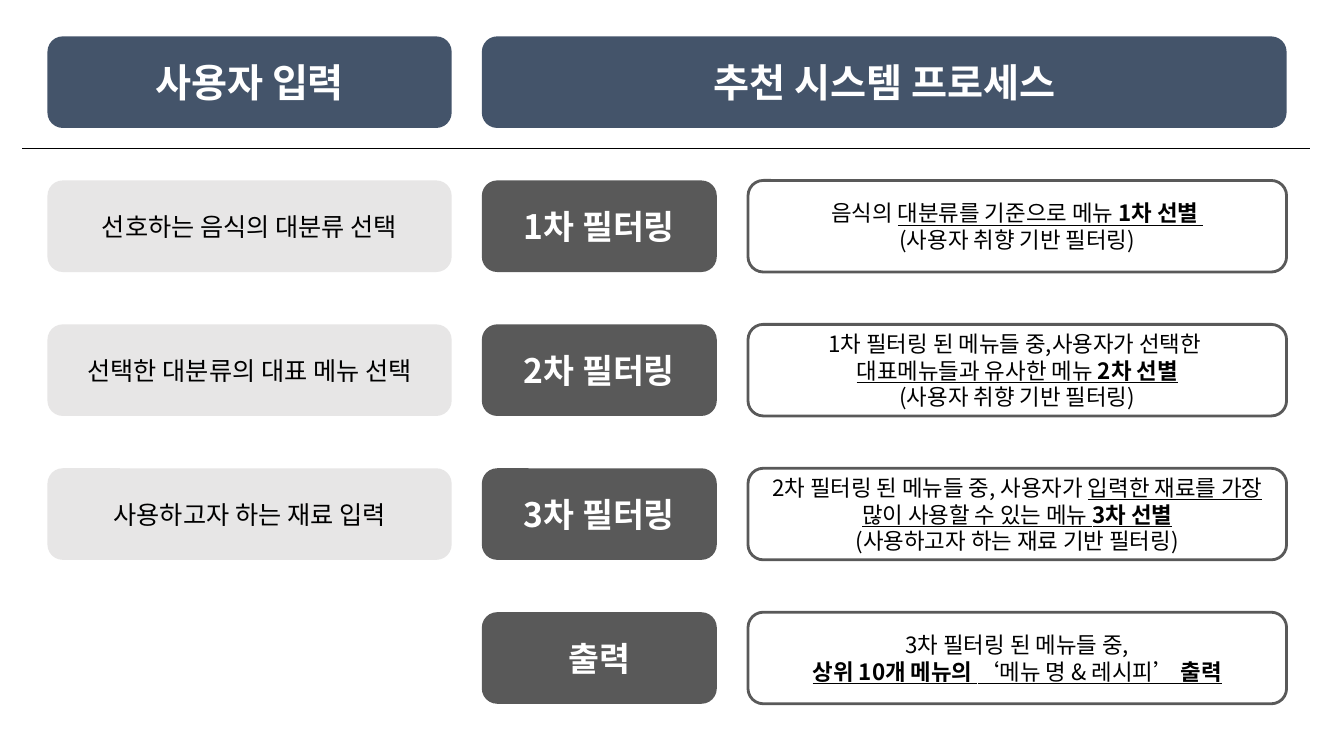
import pptx
import pptx.dml.color
import pptx.enum.shapes
import pptx.enum.text
import pptx.util
from lxml import etree
from pptx.oxml.ns import qn

FONT = "Noto Sans CJK KR"
NAVY, GRAY, LIGHT, WHITE, BLACK = "44546A", "595959", "E7E6E6", "FFFFFF", "000000"
INPUT_LEFT, STAGE_LEFT, DETAIL_LEFT = 33.9, 344.2, 534.3
INPUT_WIDTH, STAGE_WIDTH, DETAIL_WIDTH = 288.7, 167.8, 384.7
HEADER_TOP, FIRST_ROW_TOP, ROW_STEP, BOX_HEIGHT = 26, 128.9, 102.8, 65.4

PLAIN, UNDERLINED, BOLD, STRONG = (False, False), (False, True), (True, False), (True, True)

TASTE_NOTE = [("(사용자 취향 기반 필터링)", PLAIN)]
ROWS = [
    ("선호하는 음식의 대분류 선택", "1차 필터링", [
        [("음식의 ", PLAIN), ("대분류를 기준으로 메뉴 ", UNDERLINED), ("1차 선별 ", STRONG)],
        TASTE_NOTE,
    ]),
    ("선택한 대분류의 대표 메뉴 선택", "2차 필터링", [
        [("1차 필터링 된 메뉴들 중,사용자가 선택한 ", PLAIN)],
        [("대표메뉴들과 유사한 메뉴", UNDERLINED), (" 2차 선별", STRONG)],
        TASTE_NOTE,
    ]),
    ("사용하고자 하는 재료 입력", "3차 필터링", [
        [("2차 필터링 된 메뉴들 중, 사용자가 ", PLAIN),
         ("입력한 재료를 가장 많이 사용할 수 있는 메뉴 ", UNDERLINED), ("3차 선별", STRONG)],
        [("(사용하고자 하는 재료 기반 필터링)", PLAIN)],
    ]),
    (None, "출력", [
        [("3차 필터링 된 메뉴들 중,", PLAIN)],
        [("상위 10개 메뉴의 ", STRONG), ("‘메뉴 명 & 레시피’ ", UNDERLINED), ("출력", STRONG)],
    ]),
]


def rgb(color):
    return pptx.dml.color.RGBColor.from_string(color)


def add_run(paragraph, text, style, size, color):
    run = paragraph.add_run()
    run.text = text
    font = run.font
    font.name = FONT
    font.size = pptx.util.Pt(size)
    font.bold, font.underline = style
    font.color.rgb = rgb(color)
    east_asian = etree.SubElement(run._r.get_or_add_rPr(), qn("a:ea"))
    east_asian.set("typeface", FONT)


def add_box(slide, left, top, width, fill, paragraphs, size, color, border=None):
    shape = slide.shapes.add_shape(
        pptx.enum.shapes.MSO_SHAPE.ROUNDED_RECTANGLE,
        pptx.util.Pt(left), pptx.util.Pt(top), pptx.util.Pt(width), pptx.util.Pt(BOX_HEIGHT))
    shape.shadow.inherit = False
    shape.fill.solid()
    shape.fill.fore_color.rgb = rgb(fill)
    if border:
        shape.line.color.rgb = rgb(border)
        shape.line.width = pptx.util.Pt(2)
    else:
        shape.line.fill.background()
    frame = shape.text_frame
    frame.word_wrap = True
    frame.vertical_anchor = pptx.enum.text.MSO_ANCHOR.MIDDLE
    for index, runs in enumerate(paragraphs):
        paragraph = frame.add_paragraph() if index else frame.paragraphs[0]
        paragraph.alignment = pptx.enum.text.PP_ALIGN.CENTER
        for text, style in runs:
            add_run(paragraph, text, style, size, color)


def add_header(slide, left, width, text):
    add_box(slide, left, HEADER_TOP, width, NAVY, [[(text, BOLD)]], 28, WHITE)


def add_divider(slide, left, right, y):
    divider = slide.shapes.add_connector(
        pptx.enum.shapes.MSO_CONNECTOR.STRAIGHT,
        pptx.util.Pt(left), pptx.util.Pt(y), pptx.util.Pt(right), pptx.util.Pt(y))
    divider.line.color.rgb = rgb(BLACK)
    divider.line.width = pptx.util.Pt(1)
    etree.SubElement(divider._element.spPr, qn("a:effectLst"))


def main():
    presentation = pptx.Presentation()
    presentation.slide_width = pptx.util.Pt(960)
    presentation.slide_height = pptx.util.Pt(540)
    slide = presentation.slides.add_slide(presentation.slide_layouts[6])

    add_header(slide, INPUT_LEFT, INPUT_WIDTH, "사용자 입력")
    add_header(slide, STAGE_LEFT, DETAIL_LEFT + DETAIL_WIDTH - STAGE_LEFT, "추천 시스템 프로세스")
    add_divider(slide, 16, 936, 106)

    for index, (user_input, stage, details) in enumerate(ROWS):
        top = FIRST_ROW_TOP + index * ROW_STEP
        if user_input:
            add_box(slide, INPUT_LEFT, top, INPUT_WIDTH, LIGHT, [[(user_input, PLAIN)]], 18, BLACK)
        add_box(slide, STAGE_LEFT, top, STAGE_WIDTH, GRAY, [[(stage, BOLD)]], 24, WHITE)
        add_box(slide, DETAIL_LEFT, top, DETAIL_WIDTH, WHITE, details, 16, BLACK, GRAY)

    presentation.save("out.pptx")


if __name__ == "__main__":
    main()
